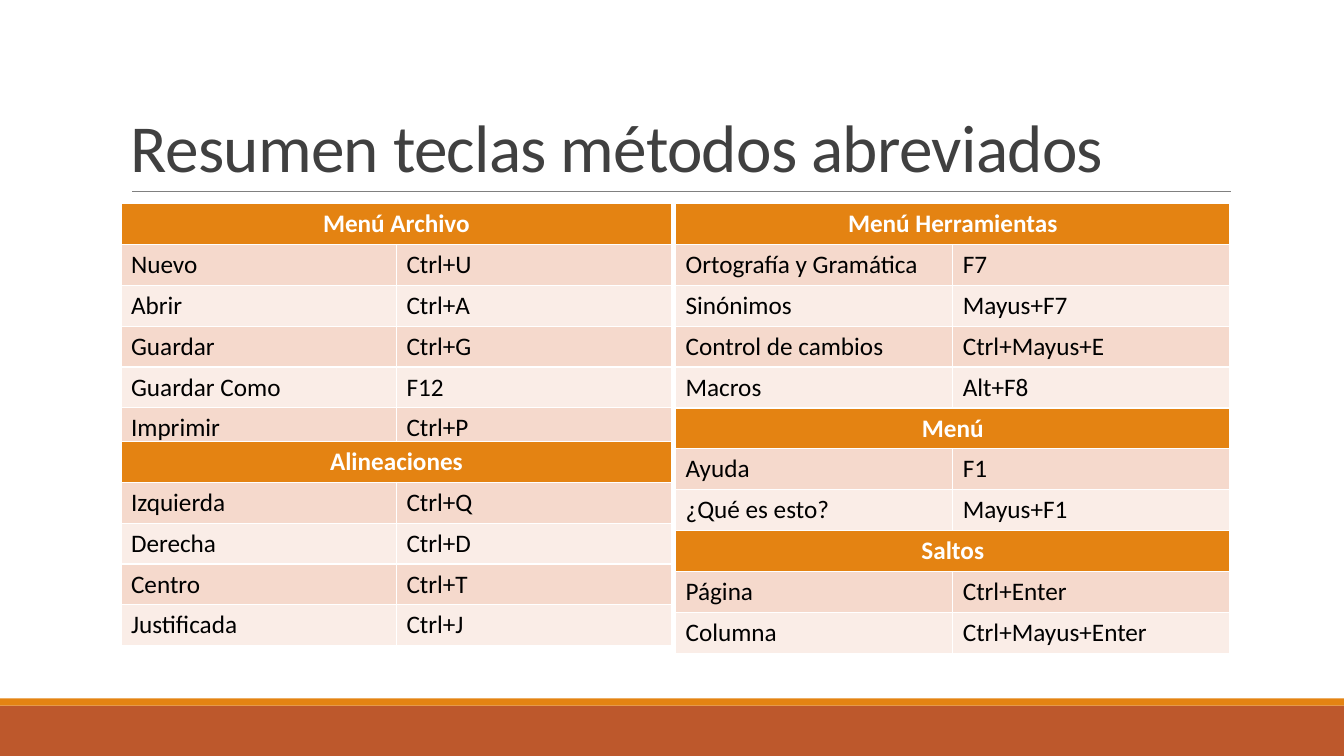
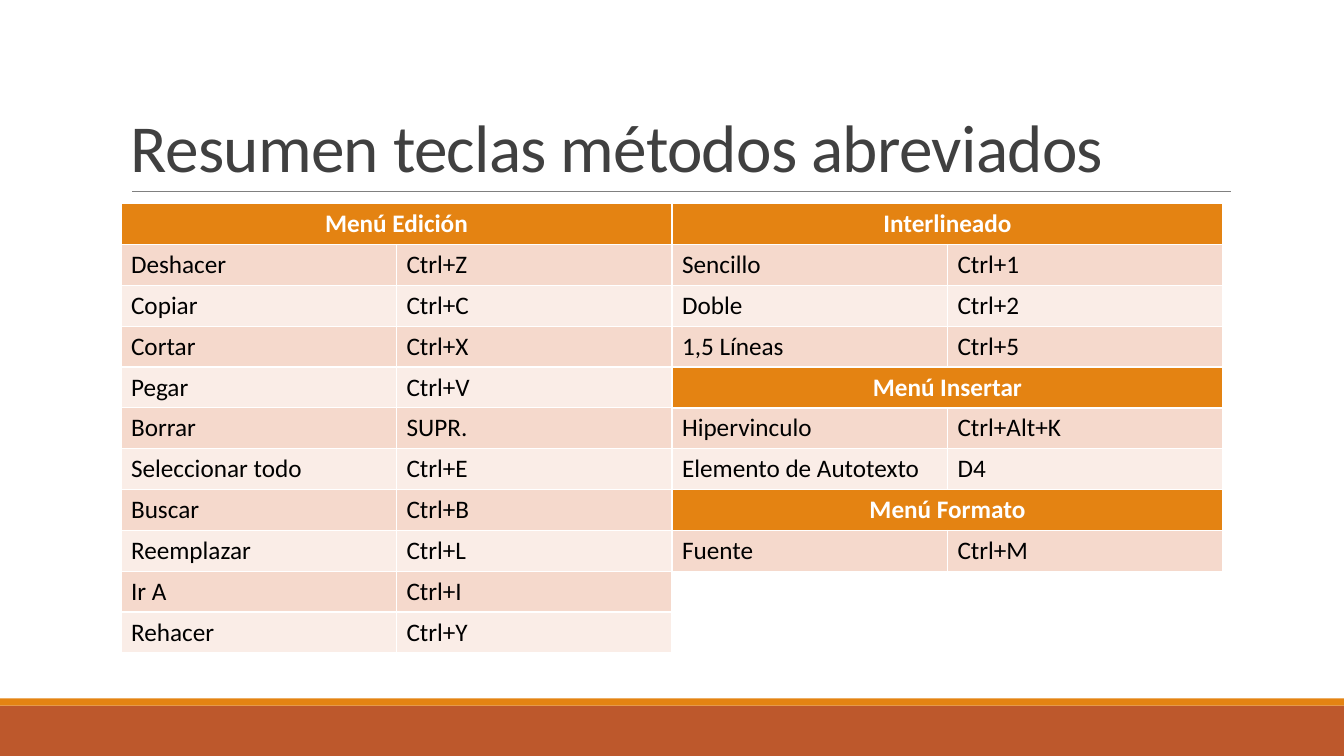
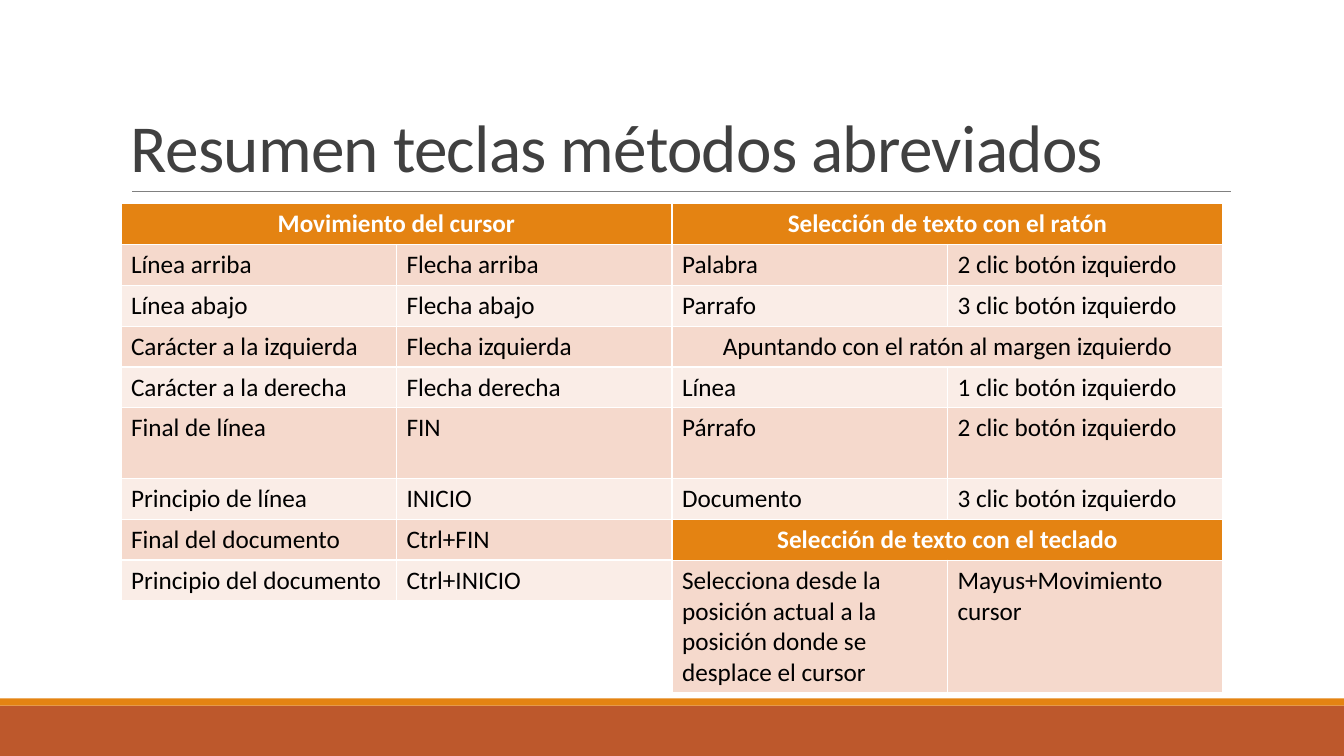
"""Build three slides of keyboard shortcut tables."""
from pptx import Presentation
from pptx.dml.color import RGBColor
from pptx.enum.shapes import MSO_CONNECTOR, MSO_SHAPE
from pptx.enum.text import MSO_ANCHOR, PP_ALIGN
from pptx.oxml.ns import qn
from pptx.util import Inches, Pt
from lxml.etree import SubElement

ORANGE = RGBColor(0xE4, 0x83, 0x12)
RUST = RGBColor(0xBD, 0x58, 0x2C)
GRAY = RGBColor(0x80, 0x80, 0x80)
DARK = RGBColor(0x40, 0x40, 0x40)
WHITE = RGBColor(0xFF, 0xFF, 0xFF)
BLACK = RGBColor(0, 0, 0)
BANDS = (RGBColor(0xFA, 0xED, 0xE7), RGBColor(0xF5, 0xD9, 0xCC))

WIDE, HIGH = 13.33, 7.5
LEFT, TOP = 1.2, 2.02
MID = WIDE / 2
SPAN = MID - LEFT
ROW = 4.46 / 11
TALL = {"Final de línea": 0.7, "Párrafo": 0.7,
        "Selecciona desde la posición actual a la posición donde se "
        "desplace el cursor": 1.31}

TITLE = "Resumen teclas métodos abreviados"
TITLE_FONT = {"name": "Calibri", "size": Pt(48)}
HEAD_FONT = {"name": "Calibri", "size": Pt(18), "bold": True}
BODY_FONT = {"name": "Calibri", "size": Pt(18), "bold": False}

FILE = [("Menú Archivo",), ("Nuevo", "Ctrl+U"), ("Abrir", "Ctrl+A"),
        ("Guardar", "Ctrl+G"), ("Guardar Como", "F12"),
        ("Imprimir", "Ctrl+P")]
ALIGN = [("Alineaciones",), ("Izquierda", "Ctrl+Q"), ("Derecha", "Ctrl+D"),
         ("Centro", "Ctrl+T"), ("Justificada", "Ctrl+J")]
TOOLS = [("Menú Herramientas",), ("Ortografía y Gramática", "F7"),
         ("Sinónimos", "Mayus+F7"), ("Control de cambios", "Ctrl+Mayus+E"),
         ("Macros", "Alt+F8")]
HELP = [("Menú",), ("Ayuda", "F1"), ("¿Qué es esto?", "Mayus+F1")]
BREAKS = [("Saltos",), ("Página", "Ctrl+Enter"),
          ("Columna", "Ctrl+Mayus+Enter")]
EDIT = [("Menú Edición",), ("Deshacer", "Ctrl+Z"), ("Copiar", "Ctrl+C"),
        ("Cortar", "Ctrl+X"), ("Pegar", "Ctrl+V"), ("Borrar", "SUPR."),
        ("Seleccionar todo", "Ctrl+E"), ("Buscar", "Ctrl+B"),
        ("Reemplazar", "Ctrl+L"), ("Ir A", "Ctrl+I"), ("Rehacer", "Ctrl+Y")]
SPACING = [("Interlineado",), ("Sencillo", "Ctrl+1"), ("Doble", "Ctrl+2"),
           ("1,5 Líneas", "Ctrl+5")]
INSERT = [("Menú Insertar",), ("Hipervinculo", "Ctrl+Alt+K"),
          ("Elemento de Autotexto", "D4")]
FORMAT = [("Menú Formato",), ("Fuente", "Ctrl+M")]
MOVES = [("Movimiento del cursor",), ("Línea arriba", "Flecha arriba"),
         ("Línea abajo", "Flecha abajo"),
         ("Carácter a la izquierda", "Flecha izquierda"),
         ("Carácter a la derecha", "Flecha derecha"),
         ("Final de línea", "FIN"), ("Principio de línea", "INICIO"),
         ("Final del documento", "Ctrl+FIN"),
         ("Principio del documento", "Ctrl+INICIO")]
MOUSE = [("Selección de texto con el ratón",),
         ("Palabra", "2 clic botón izquierdo"),
         ("Parrafo", "3 clic botón izquierdo"),
         ("Apuntando con el ratón al margen izquierdo",),
         ("Línea", "1 clic botón izquierdo"),
         ("Párrafo", "2 clic botón izquierdo"),
         ("Documento", "3 clic botón izquierdo")]
KEYS = [("Selección de texto con el teclado",),
        ("Selecciona desde la posición actual a la posición donde se "
         "desplace el cursor", "Mayus+Movimiento cursor")]

SLIDES = [
    [(LEFT, TOP, SPAN, [FILE]), (6.7, TOP, 5.5, [TOOLS, HELP, BREAKS]),
     (LEFT, 4.38, SPAN, [ALIGN])],
    [(LEFT, TOP, SPAN, [EDIT]), (MID, TOP, SPAN, [SPACING, INSERT, FORMAT])],
    [(LEFT, TOP, SPAN, [MOVES]), (MID, TOP, SPAN, [MOUSE, KEYS])],
]


def put(item, values):
    """Set each attribute named in the dict."""
    for name, value in values.items():
        setattr(item, name, value)


def write(frame, text, font, color):
    """Write one formatted run and return its paragraph."""
    para = frame.paragraphs[0]
    run = para.add_run()
    run.text = text
    put(run.font, font)
    run.font.color.rgb = color
    return para


def band(slide, top, high, color):
    """Draw a full-width band."""
    shape = slide.shapes.add_shape(MSO_SHAPE.RECTANGLE, 0, Inches(top),
                                   Inches(WIDE), Inches(high))
    shape.shadow.inherit = False
    shape.fill.solid()
    shape.fill.fore_color.rgb = color
    shape.line.fill.background()


def rule(slide, left, right, top):
    """Draw the thin line under the title."""
    line = slide.shapes.add_connector(MSO_CONNECTOR.STRAIGHT, Inches(left),
                                      Inches(top), Inches(right), Inches(top))
    line.line.color.rgb = GRAY
    line.line.width = Pt(0.5)
    SubElement(line._element.spPr, qn("a:effectLst"))


def title(slide, text):
    """Add the slide title."""
    box = slide.shapes.add_textbox(Inches(LEFT), Inches(0.31), Inches(11),
                                   Inches(1.59))
    put(box.text_frame, {"word_wrap": True,
                         "vertical_anchor": MSO_ANCHOR.BOTTOM})
    para = write(box.text_frame, text, TITLE_FONT, DARK)
    para.line_spacing = 0.85
    para.runs[0].font._element.set("spc", "-50")


def grid(slide, left, top, width, rows):
    """Add a two-column table and return its height."""
    highs = [TALL.get(row[0], ROW) for row in rows]
    table = slide.shapes.add_table(len(rows), 2, Inches(left), Inches(top),
                                   Inches(width), Inches(sum(highs))).table
    for i, (row, high) in enumerate(zip(rows, highs)):
        table.rows[i].height = Inches(high)
        font, color = (BODY_FONT, BLACK) if i else (HEAD_FONT, WHITE)
        for cell in table.rows[i].cells:
            cell.fill.solid()
            cell.fill.fore_color.rgb = BANDS[i % 2] if i else ORANGE
        if len(row) == 1:
            table.cell(i, 0).merge(table.cell(i, 1))
        for j, text in enumerate(row):
            para = write(table.cell(i, j).text_frame, text, font, color)
            if len(row) == 1:
                para.alignment = PP_ALIGN.CENTER
    return sum(highs)


def stack(slide, left, top, width, groups):
    """Place tables one under another."""
    for rows in groups:
        top += grid(slide, left, top, width, rows)


def main():
    """Build and save the deck."""
    deck = Presentation()
    put(deck, {"slide_width": Inches(WIDE), "slide_height": Inches(HIGH)})
    for stacks in SLIDES:
        slide = deck.slides.add_slide(deck.slide_layouts[6])
        band(slide, 7, 0.5, RUST)
        band(slide, 6.93, 0.07, ORANGE)
        rule(slide, 1.31, 12.21, 1.9)
        title(slide, TITLE)
        for item in stacks:
            stack(slide, *item)
    deck.save("out.pptx")


if __name__ == "__main__":
    main()
